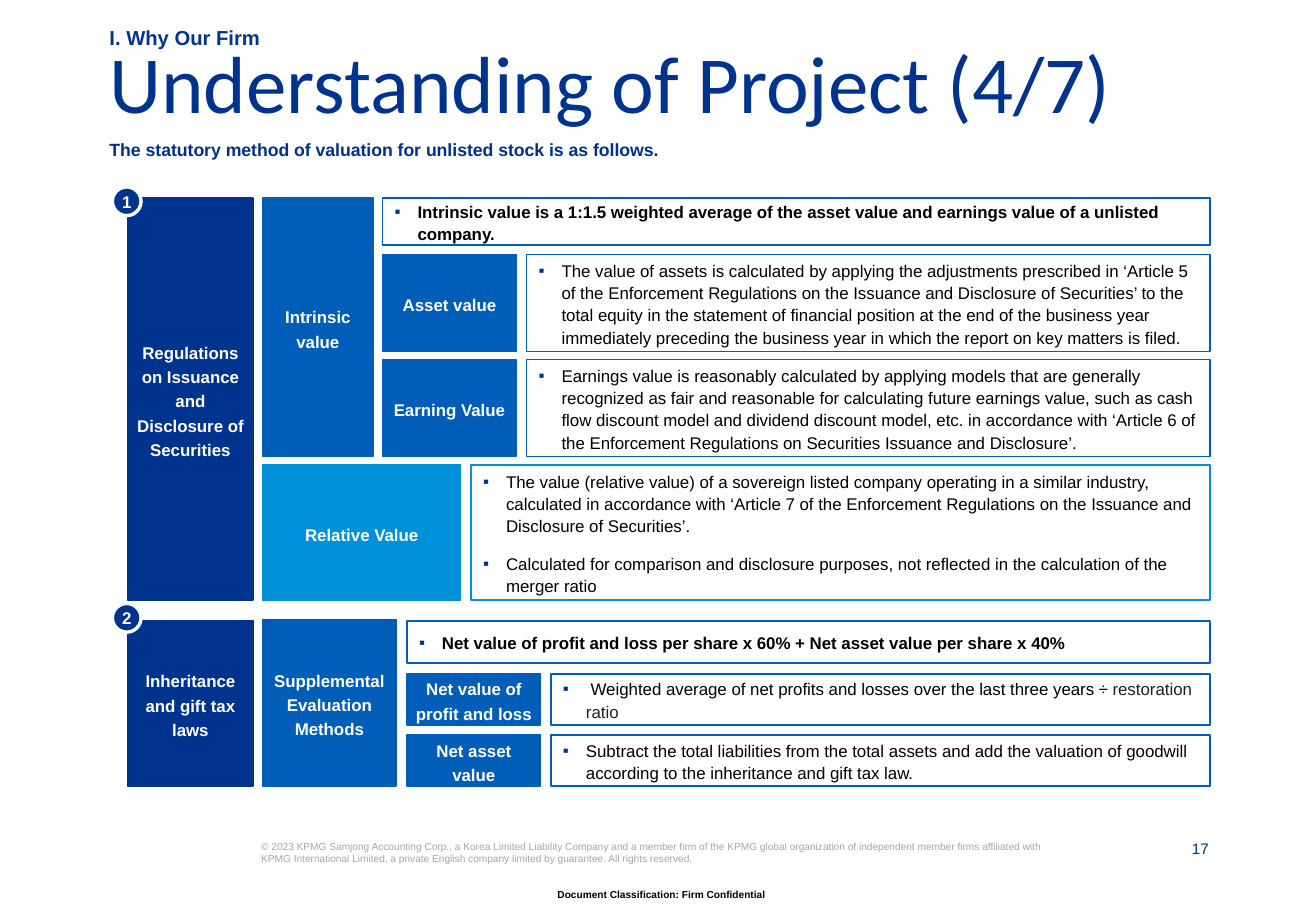
from lxml.etree import SubElement
from pptx import Presentation
from pptx.dml.color import RGBColor
from pptx.enum.shapes import MSO_SHAPE
from pptx.enum.text import MSO_ANCHOR, PP_ALIGN
from pptx.oxml.ns import qn
from pptx.util import Cm, Pt

NAVY, BLUE, SKY = "00338D", "005EB8", "0091DA"
WHITE, BLACK = "FFFFFF", "000000"

GAP = 0.22
RIGHT = 25.3
LAW_LEFT, LAW_WIDTH = 2.67, 2.62
METHOD_LEFT = 5.49
INTRINSIC_LEFT = 8.0
SUPPLEMENT_LEFT = 8.51
LABEL_WIDTH = 2.79


def rgb(colour):
    return RGBColor.from_string(colour)


def set_margins(text_frame, horizontal, vertical):
    text_frame.margin_left = text_frame.margin_right = Cm(horizontal)
    text_frame.margin_top = text_frame.margin_bottom = Cm(vertical)


def format_runs(paragraph, size, colour, bold=False, name="Arial"):
    for run in paragraph.runs:
        run.font.size = Pt(size)
        run.font.name = name
        run.font.bold = bold
        run.font.color.rgb = rgb(colour)


def add_text(slide, text, left, top, width, height, size, colour, bold=False,
             name="Arial", align=PP_ALIGN.LEFT, anchor=MSO_ANCHOR.TOP, spacing=1.0):
    box = slide.shapes.add_textbox(Cm(left), Cm(top), Cm(width), Cm(height))
    text_frame = box.text_frame
    text_frame.word_wrap = True
    text_frame.vertical_anchor = anchor
    set_margins(text_frame, 0, 0)
    text_frame.text = text
    paragraph = text_frame.paragraphs[0]
    paragraph.alignment = align
    paragraph.line_spacing = spacing
    format_runs(paragraph, size, colour, bold, name)


def add_box(slide, kind, left, top, width, height, fill, line, line_width):
    shape = slide.shapes.add_shape(kind, Cm(left), Cm(top), Cm(width), Cm(height))
    shape.shadow.inherit = False
    if fill:
        shape.fill.solid()
        shape.fill.fore_color.rgb = rgb(fill)
    else:
        shape.fill.background()
    shape.line.color.rgb = rgb(line)
    shape.line.width = Pt(line_width)
    shape.text_frame.word_wrap = True
    shape.text_frame.vertical_anchor = MSO_ANCHOR.MIDDLE
    return shape


def add_label(slide, text, left, top, width, height, colour):
    shape = add_box(slide, MSO_SHAPE.RECTANGLE, left, top, width, height, colour, colour, 0.75)
    set_margins(shape.text_frame, 0.15, 0.13)
    shape.text_frame.text = text
    for paragraph in shape.text_frame.paragraphs:
        paragraph.alignment = PP_ALIGN.CENTER
        paragraph.line_spacing = 1.2
        format_runs(paragraph, 10, WHITE, True)


def add_bullet(paragraph):
    properties = paragraph._p.get_or_add_pPr()
    properties.set("marL", str(Cm(0.48)))
    properties.set("indent", str(-Cm(0.48)))
    bullet_colour = SubElement(properties, qn("a:buClr"))
    SubElement(bullet_colour, qn("a:srgbClr"), val=NAVY)
    SubElement(properties, qn("a:buFont"), typeface="Arial")
    SubElement(properties, qn("a:buChar"), char="▪")


def add_description(slide, text, left, top, height, colour, bold=False):
    """Outlined box of bullets that reaches the right edge of the diagram."""
    shape = add_box(slide, MSO_SHAPE.RECTANGLE, left, top, RIGHT - left, height, None, colour, 1)
    shape.text_frame.text = text
    for index, paragraph in enumerate(shape.text_frame.paragraphs):
        add_bullet(paragraph)
        paragraph.alignment = PP_ALIGN.LEFT
        paragraph.line_spacing = 1.1
        paragraph.space_before = Pt(9 if index else 0)
        format_runs(paragraph, 10, BLACK, bold)
    return shape


def add_row(slide, label, text, left, top, width, height, colour):
    """Filled label with its description to the right."""
    add_label(slide, label, left, top, width, height, colour)
    return add_description(slide, text, left + width + GAP, top, height, colour)


def add_law(slide, number, text, top, height):
    """Navy block with a numbered badge on its top left corner."""
    add_label(slide, text, LAW_LEFT, top, LAW_WIDTH, height, NAVY)
    badge = add_box(slide, MSO_SHAPE.OVAL, 2.35, top - 0.23 if number == 1 else top - 0.36,
                    0.6, 0.6, NAVY, WHITE, 2)
    set_margins(badge.text_frame, 0, 0)
    badge.text_frame.text = str(number)
    paragraph = badge.text_frame.paragraphs[0]
    paragraph.alignment = PP_ALIGN.CENTER
    format_runs(paragraph, 10, WHITE, True)


def add_headings(slide):
    add_text(slide, "I. Why Our Firm", 2.29, 0.56, 22.94, 0.48, 12, NAVY, True,
             anchor=MSO_ANCHOR.BOTTOM)
    add_text(slide, "Understanding of Project (4/7)", 2.29, 1.24, 22.94, 2.01, 48, NAVY,
             name="Calibri", spacing=0.7)
    add_text(slide, "The statutory method of valuation for unlisted stock is as follows.",
             2.29, 2.9, 22.63, 1.4, 10.5, "003087", True)


def add_footer(slide):
    add_text(slide, "© 2023 KPMG Samjong Accounting Corp., a Korea Limited Liability Company and a "
             "member firm of the KPMG global organization of independent member firms affiliated "
             "with KPMG International Limited, a private English company limited by guarantee. "
             "All rights reserved.", 5.46, 17.58, 16.59, 1.27, 6, "A6A6A6")
    add_text(slide, "17", 24.18, 17.55, 1.09, 0.41, 9, NAVY, align=PP_ALIGN.RIGHT)
    add_text(slide, "Document Classification: Firm Confidential", 5.38, 18.57, 16.89, 0.3,
             6, BLACK, True, align=PP_ALIGN.CENTER)


def add_securities_regulations(slide):
    add_law(slide, 1, "Regulations on Issuance and Disclosure of Securities", 4.14, 8.41)
    add_label(slide, "Intrinsic value", METHOD_LEFT, 4.14, 2.31, 5.41, BLUE)
    add_description(slide, "Intrinsic value is a 1:1.5 weighted average of the asset value and "
                    "earnings value of a unlisted company.", INTRINSIC_LEFT, 4.14, 0.99, BLUE, True)
    add_row(slide, "Asset value",
            "The value of assets is calculated by applying the adjustments prescribed in "
            "‘Article 5 of the Enforcement Regulations on the Issuance and Disclosure of "
            "Securities’ to the total equity in the statement of financial position at the end "
            "of the business year immediately preceding the business year in which the report "
            "on key matters is filed.", INTRINSIC_LEFT, 5.32, LABEL_WIDTH, 2.03, BLUE)
    add_row(slide, "Earning Value",
            "Earnings value is reasonably calculated by applying models that are generally "
            "recognized as fair and reasonable for calculating future earnings value, such as "
            "cash flow discount model and dividend discount model, etc. in accordance with "
            "‘Article 6 of the Enforcement Regulations on Securities Issuance and Disclosure’.",
            INTRINSIC_LEFT, 7.52, LABEL_WIDTH, 2.03, BLUE)
    add_row(slide, "Relative Value",
            "The value (relative value) of a sovereign listed company operating in a similar "
            "industry, calculated in accordance with ‘Article 7 of the Enforcement Regulations "
            "on the Issuance and Disclosure of Securities’.\n"
            "Calculated for comparison and disclosure purposes, not reflected in the "
            "calculation of the merger ratio", METHOD_LEFT, 9.72, 4.14, 2.83, SKY)


def add_tax_laws(slide):
    add_law(slide, 2, "Inheritance and gift tax laws", 12.98, 3.46)
    add_label(slide, "Supplemental\nEvaluation Methods", METHOD_LEFT, 12.96, LABEL_WIDTH, 3.48, BLUE)
    add_description(slide, "Net value of profit and loss per share x 60% + Net asset value per "
                    "share x 40%", SUPPLEMENT_LEFT, 12.98, 0.89, BLUE, True)
    profit = add_row(slide, "Net value of profit and loss",
                     " Weighted average of net profits and losses over the last three years ÷ ",
                     SUPPLEMENT_LEFT, 14.09, LABEL_WIDTH, 1.07, BLUE)
    paragraph = profit.text_frame.paragraphs[0]
    paragraph.add_run().text = "restoration ratio"
    format_runs(paragraph, 10, BLACK)
    paragraph.runs[-1].font.color.rgb = rgb("202124")
    add_row(slide, "Net asset value",
            "Subtract the total liabilities from the total assets and add the valuation of "
            "goodwill according to the inheritance and gift tax law.",
            SUPPLEMENT_LEFT, 15.37, LABEL_WIDTH, 1.07, BLUE)


def main():
    presentation = Presentation()
    presentation.slide_width = Cm(27.51)
    presentation.slide_height = Cm(19.05)
    slide = presentation.slides.add_slide(presentation.slide_layouts[6])
    add_headings(slide)
    add_securities_regulations(slide)
    add_tax_laws(slide)
    add_footer(slide)
    presentation.save("out.pptx")


if __name__ == "__main__":
    main()
